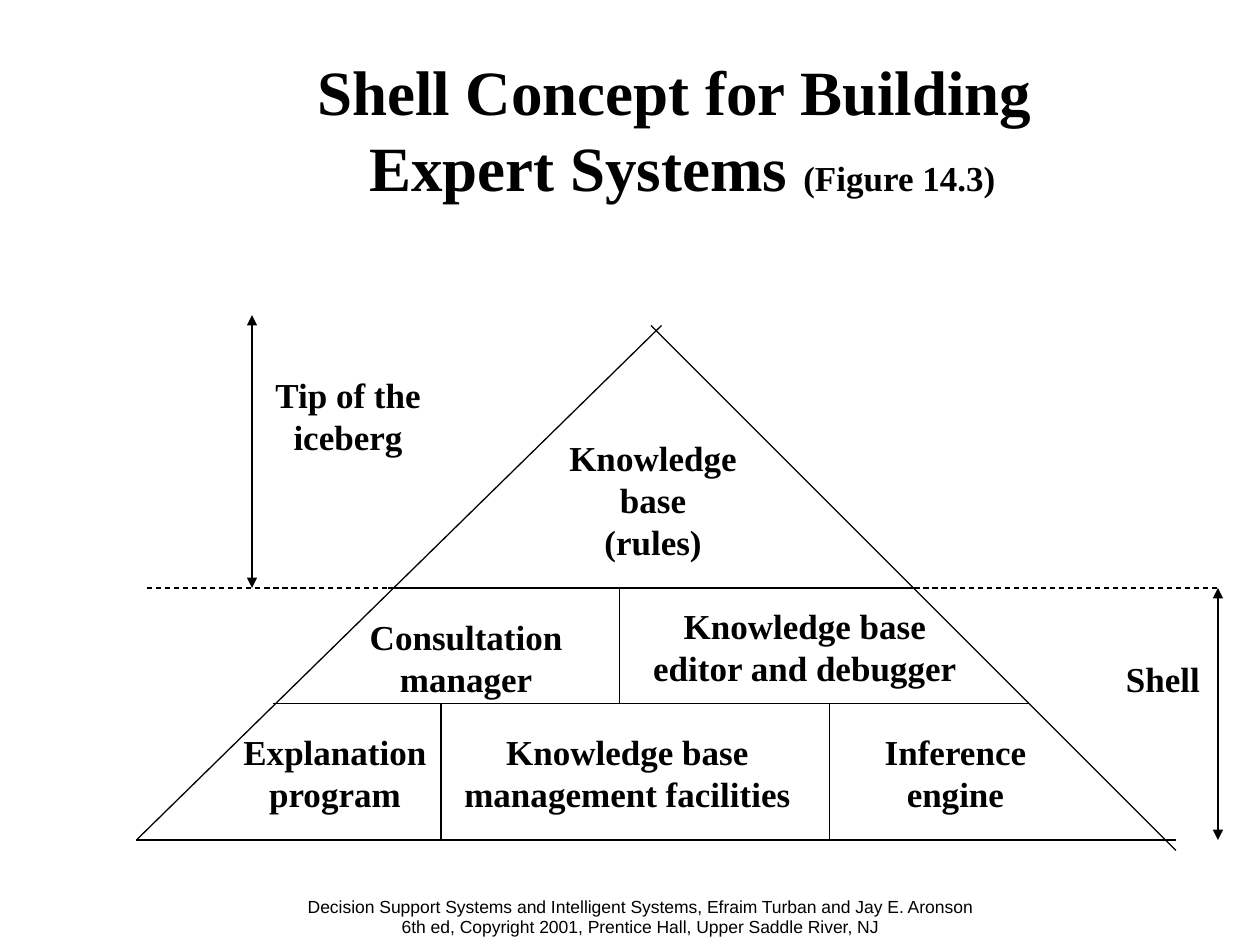
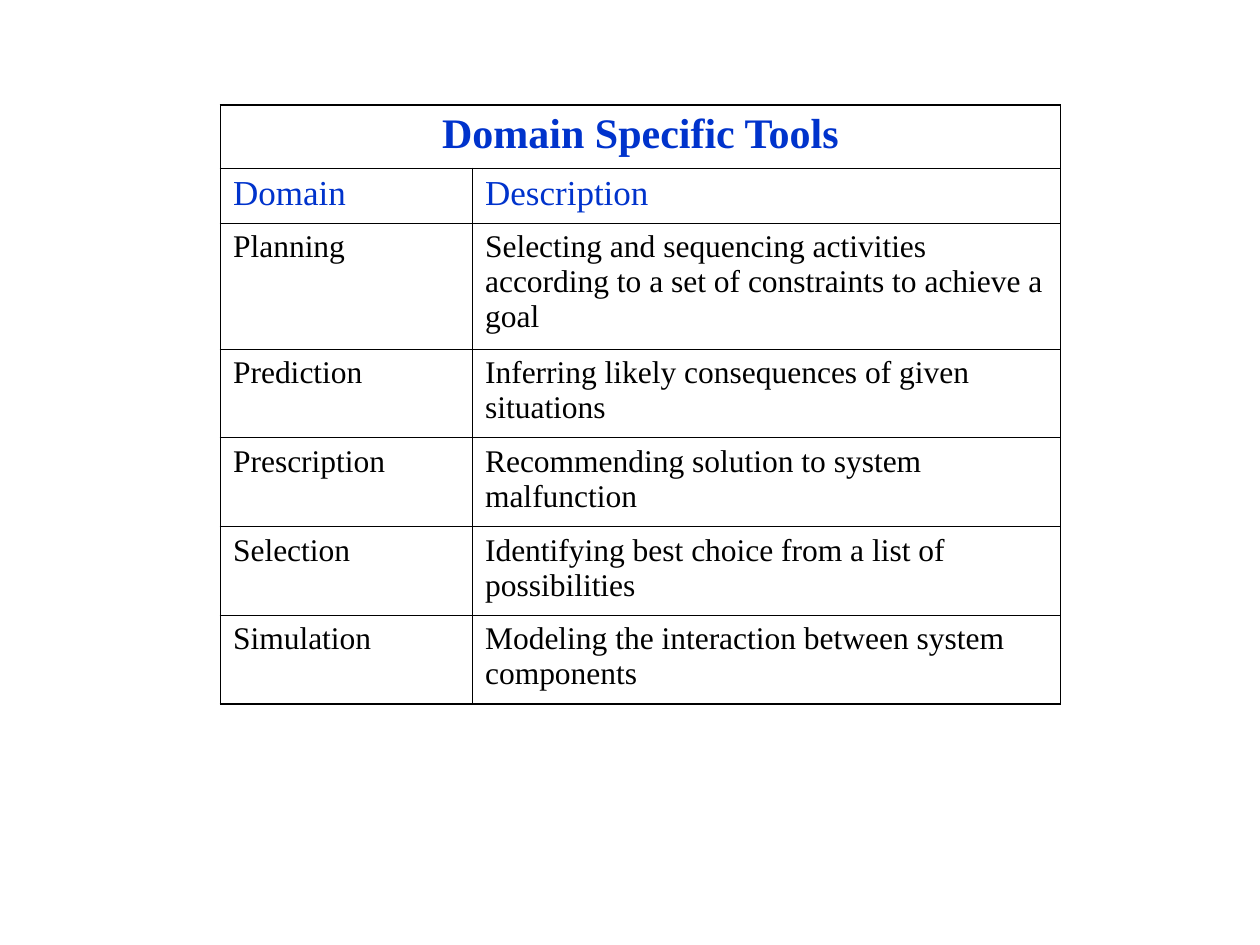
import dataclasses

import pptx
import pptx.dml.color
import pptx.enum.dml
import pptx.enum.shapes
import pptx.enum.text
import pptx.oxml
import pptx.oxml.ns
import pptx.util


@dataclasses.dataclass(frozen=True)
class Theme:
    ink: str = "000000"
    accent: str = "0033CC"
    serif: str = "Times New Roman"
    sans: str = "Arial"
    title: float = 36
    table_title: float = 24
    label: float = 20
    body: float = 18
    footer: float = 10
    loose: float = 1.2
    tight: float = 1.11
    thin: float = 0.45
    outline: float = 1.08


theme = Theme()
PP = pptx.enum.text.PP_ALIGN

deck = pptx.Presentation()
deck.slide_width = pptx.util.Inches(10)
deck.slide_height = pptx.util.Inches(7.5)

# The slide is a grid of 120 columns by 90 rows of square units
unit = deck.slide_width / 120


def grid(*lengths):
    return [round(length * unit) for length in lengths]


def write(para, text, size, bold=False, color=theme.ink, face=theme.serif,
          align=PP.CENTER, leading=theme.loose):
    """Add one formatted run and lay out its paragraph."""
    span = para.add_run()
    span.text = text
    span.font.color.rgb = pptx.dml.color.RGBColor.from_string(color)
    formats = {
        span.font: {"name": face, "size": pptx.util.Pt(size), "bold": bold},
        para: {"alignment": align, "space_before": pptx.util.Pt(0)},
    }
    for target, values in formats.items():
        for name, value in values.items():
            setattr(target, name, value)
    if para.line_spacing is None:
        para.line_spacing = pptx.util.Pt(round(size * leading, 1))


# ---- Slide 1: the shell pyramid ----
page = deck.slides.add_slide(deck.slide_layouts[5])

# Title
title = page.shapes.title
title.left, title.top, title.width, title.height = grid(14, 5, 102, 15)
frame = title.text_frame
frame.auto_size = pptx.enum.text.MSO_AUTO_SIZE.NONE
frame.vertical_anchor = pptx.enum.text.MSO_ANCHOR.BOTTOM
para = frame.paragraphs[0]
write(para, "Shell Concept for Building ", theme.title, bold=True)
para.add_line_break()
write(para, "Expert Systems ", theme.title, bold=True)
write(para, "(Figure 14.3)", theme.label, bold=True)

# Labels and source line: left, top, width, lines, format
label = {"size": theme.label, "bold": True}
source = {"size": theme.footer, "face": theme.sans}
texts = [
    (53, 41, 18.4, ["Knowledge", "base", "(rules)"], label),
    (34, 58, 20.8, ["Consultation", "manager"], label),
    (61, 57, 31.3, ["Knowledge base", "editor and debugger"], label),
    (83, 69, 16, ["Inference", "engine"], label),
    (43, 69, 33.5, ["Knowledge base", "management facilities"], label),
    (22, 69, 19.8, ["Explanation", "program"], label),
    (106, 62, 9.5, ["Shell"], label),
    (25, 35, 16.3, ["Tip of the", "iceberg"], label),
    (28, 84.7, 65.9,
     ["Decision Support Systems and Intelligent Systems, Efraim Turban and Jay E. Aronson",
      "6th ed, Copyright 2001, Prentice Hall, Upper Saddle River, NJ"], source),
]
slack = 0.5  # spare width on each side, so that no word breaks
for left, top, width, lines, style in texts:
    height = 1.2 + len(lines) * style["size"] / 5
    box = page.shapes.add_textbox(
        *grid(left - slack, top, width + 2 * slack, height))
    frame = box.text_frame
    frame.word_wrap = False
    frame.auto_size = pptx.enum.text.MSO_AUTO_SIZE.NONE
    for number, line in enumerate(lines):
        para = frame.add_paragraph() if number else frame.paragraphs[0]
        write(para, line, **style)

# Pyramid edges, dividers, water line and extent arrows
tip, waterline, middle, base = 31, 56, 67, 80
strokes = [
    (37, waterline, 87, waterline, "solid"),
    (13, base, 112, base, "solid"),
    (26, middle, 98, middle, "solid"),
    (13, base, 63, tip, "solid"),
    (112, base + 1, 62, tip, "solid"),
    (42, middle, 42, base, "solid"),
    (79, middle, 79, base, "solid"),
    (59, waterline, 59, middle, "solid"),
    (14, waterline, 116, waterline, "dash"),
    (116, waterline, 116, base, "arrow"),
    (24, tip - 1, 24, waterline, "arrow"),
]
for x1, y1, x2, y2, kind in strokes:
    stroke = page.shapes.add_connector(
        pptx.enum.shapes.MSO_CONNECTOR.STRAIGHT, *grid(x1, y1, x2, y2))
    stroke.line.color.rgb = pptx.dml.color.RGBColor.from_string(theme.ink)
    stroke.line.width = pptx.util.Pt(1 if kind == "arrow" else 0.75)
    if kind == "dash":
        stroke.line.dash_style = pptx.enum.dml.MSO_LINE.DASH
    properties = stroke._element.spPr
    if kind == "arrow":
        outline = properties.find(pptx.oxml.ns.qn("a:ln"))
        for end in ("headEnd", "tailEnd"):
            outline.append(pptx.oxml.parse_xml(
                f'<a:{end} {pptx.oxml.ns.nsdecls("a")} type="triangle"/>'))
    properties.append(pptx.oxml.parse_xml(
        f'<a:effectLst {pptx.oxml.ns.nsdecls("a")}/>'))

# ---- Slide 2: table of domain tools ----
page = deck.slides.add_slide(deck.slide_layouts[6])
rows = [
    ("Domain Specific Tools", ""),
    ("Domain", "Description"),
    ("Planning", "Selecting and sequencing activities according to a set of "
                 "constraints to achieve a goal"),
    ("Prediction", "Inferring likely consequences of given situations"),
    ("Prescription", "Recommending solution to system malfunction"),
    ("Selection", "Identifying best choice from a list of possibilities"),
    ("Simulation", "Modeling the interaction between system components"),
]
widths = [24, 56]
heights = [6, 5.25, 12] + [8.45] * 4
table = page.shapes.add_table(
    len(rows), len(widths), *grid(21, 10, sum(widths), sum(heights))).table
table.first_row = table.horz_banding = False
for column, width in zip(table.columns, grid(*widths)):
    column.width = width
for row, height in zip(table.rows, grid(*heights)):
    row.height = height
table.cell(0, 0).merge(table.cell(0, 1))

# Heading rows are blue; all later rows share the body style
heading = {"size": theme.table_title, "bold": True, "color": theme.accent}
column_name = {"size": theme.label, "color": theme.accent, "align": PP.LEFT}
entry = {"size": theme.body, "align": PP.LEFT}
styles = [heading, column_name] + [entry] * (len(rows) - 2)

for r, (words, style) in enumerate(zip(rows, styles)):
    for c, text in enumerate(words):
        cell = table.cell(r, c)
        if text:
            write(cell.text_frame.paragraphs[0], text, leading=theme.tight, **style)
        # Heavier rules run around the outside of the table
        outer = {"lnL": c == 0, "lnR": c == 1 or r == 0,
                 "lnT": r == 0, "lnB": r == len(rows) - 1}
        for side, is_outer in outer.items():
            weight = pptx.util.Pt(theme.outline if is_outer else theme.thin)
            cell._tc.get_or_add_tcPr().append(pptx.oxml.parse_xml(
                f'<a:{side} {pptx.oxml.ns.nsdecls("a")} w="{weight}"><a:solidFill>'
                f'<a:srgbClr val="{theme.ink}"/></a:solidFill></a:{side}>'))
        cell.fill.background()

deck.save("out.pptx")
